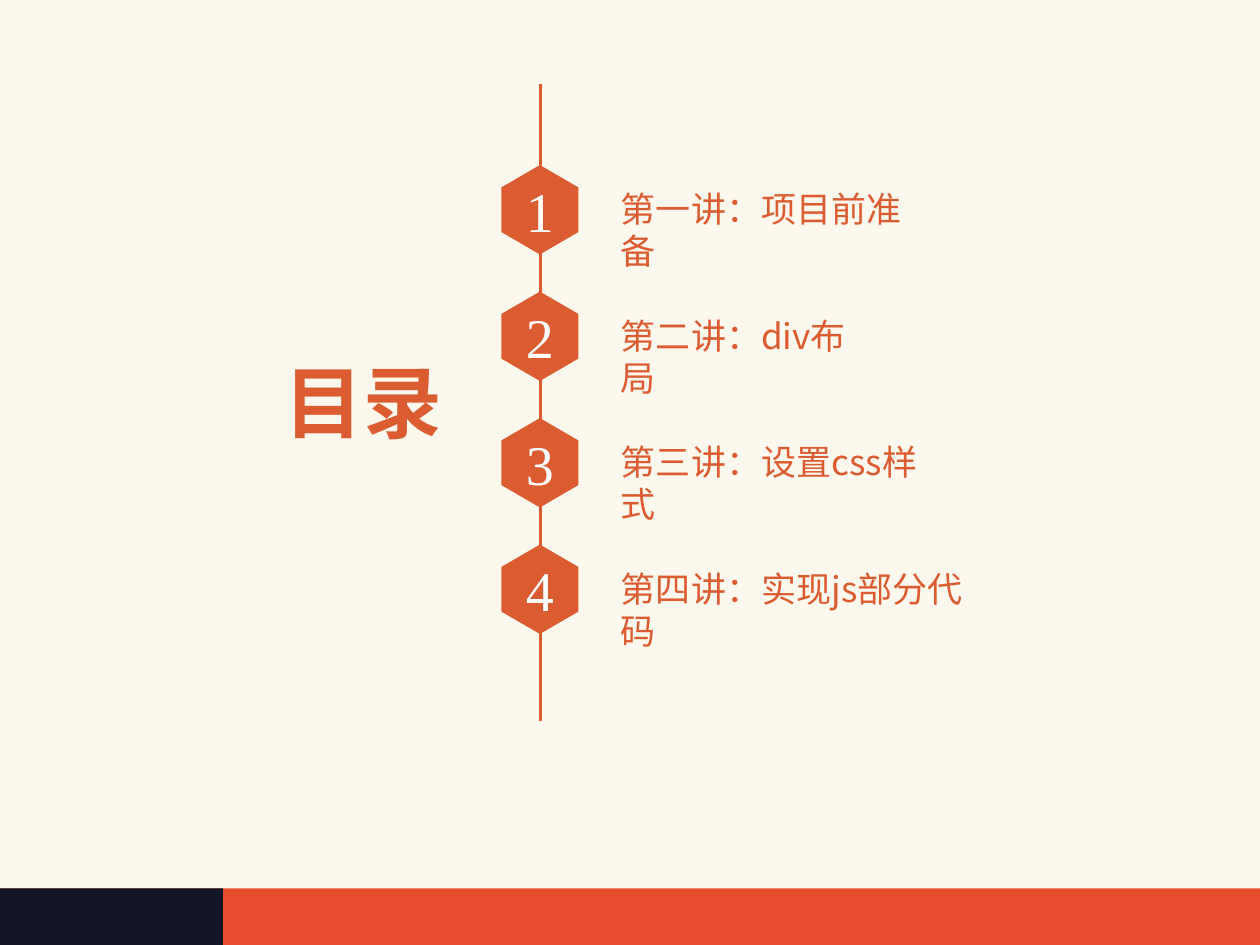
from lxml import etree
from pptx import Presentation
from pptx.dml.color import RGBColor
from pptx.enum import shapes, text
from pptx.oxml import ns
from pptx.util import Inches, Pt

CREAM = RGBColor(0xFC, 0xF8, 0xED)
RED = RGBColor(0xE7, 0x4C, 0x2E)
NAVY = RGBColor(0x13, 0x14, 0x26)
ORANGE = RGBColor(0xDC, 0x5C, 0x31)
WHITE = RGBColor(0xFF, 0xFF, 0xFF)
SANS = "Noto Sans CJK SC"
SERIF = "Times New Roman"

# Lecture title and the width of its box
LECTURES = [
    ("第一讲：项目前准备", 2.65),
    ("第二讲：div布局", 2.26),
    ("第三讲：设置css样式", 2.82),
    ("第四讲：实现js部分代码", 3.18),
]


def paint(shape, color):
    shape.fill.solid()
    shape.fill.fore_color.rgb = color
    shape.line.fill.background()
    shape.shadow.inherit = False


def add_bar(page, left, top, width, height, color):
    bar = page.shapes.add_shape(shapes.MSO_SHAPE.RECTANGLE, Inches(left),
                                Inches(top), Inches(width), Inches(height))
    paint(bar, color)


def add_span(para, words, size, color, font, bold=False):
    span = para.add_run()
    span.text = words
    span.font.size = Pt(size)
    span.font.bold = bold
    span.font.name = font
    span.font.color.rgb = color
    east_asian = etree.SubElement(span.font._element, ns.qn("a:ea"))
    east_asian.set("typeface", font)


def add_label(page, left, top, width, height, words, size, bold=False, wrap=True):
    box = page.shapes.add_textbox(Inches(left), Inches(top),
                                  Inches(width), Inches(height))
    box.text_frame.word_wrap = wrap
    add_span(box.text_frame.paragraphs[0], words, size, ORANGE, SANS, bold)


def add_hexagon(page, left, top, width, height, number):
    slant = height / 4
    right, middle, bottom = left + width, left + width / 2, top + height
    corners = [(right, top + slant), (right, bottom - slant), (middle, bottom),
               (left, bottom - slant), (left, top + slant)]
    outline = page.shapes.build_freeform(Inches(middle), Inches(top))
    outline.add_line_segments([(Inches(x), Inches(y)) for x, y in corners])
    hexagon = outline.convert_to_shape()
    paint(hexagon, ORANGE)
    frame = hexagon.text_frame
    frame.vertical_anchor = text.MSO_ANCHOR.MIDDLE
    para = frame.paragraphs[0]
    para.alignment = text.PP_ALIGN.CENTER
    add_span(para, str(number), 32, WHITE, SERIF)


def add_backdrop(page, width, height):
    footer = height - 0.45
    add_bar(page, 0, 0, width, height, CREAM)
    add_bar(page, 0, footer, width, 0.45, RED)
    add_bar(page, 0, footer, 1.77, 0.45, NAVY)


def add_timeline(page, left, top, height):
    # Vertical line through the hexagons
    axis = left + 0.31
    line = page.shapes.add_connector(shapes.MSO_CONNECTOR.STRAIGHT, Inches(axis),
                                     Inches(top), Inches(axis), Inches(top + height))
    line.line.color.rgb = ORANGE
    line.line.width = Pt(1.5)
    etree.SubElement(line._element.spPr, ns.qn("a:effectLst"))

    # One numbered row for each lecture
    for index, (words, width) in enumerate(LECTURES):
        row = top + 0.64 + index * 1.004
        add_hexagon(page, left, row, 0.61, 0.71, index + 1)
        add_label(page, left + 0.85, row + 0.13, width, 0.46, words, 20)


deck = Presentation()
deck.slide_width, deck.slide_height = Inches(10), Inches(7.5)
page = deck.slides.add_slide(deck.slide_layouts[6])
add_backdrop(page, 10, 7.5)
add_timeline(page, 3.98, 0.67, 5.05)
add_label(page, 2.16, 2.76, 1.47, 0.86, "目录", 45, bold=True, wrap=False)
deck.save("out.pptx")
